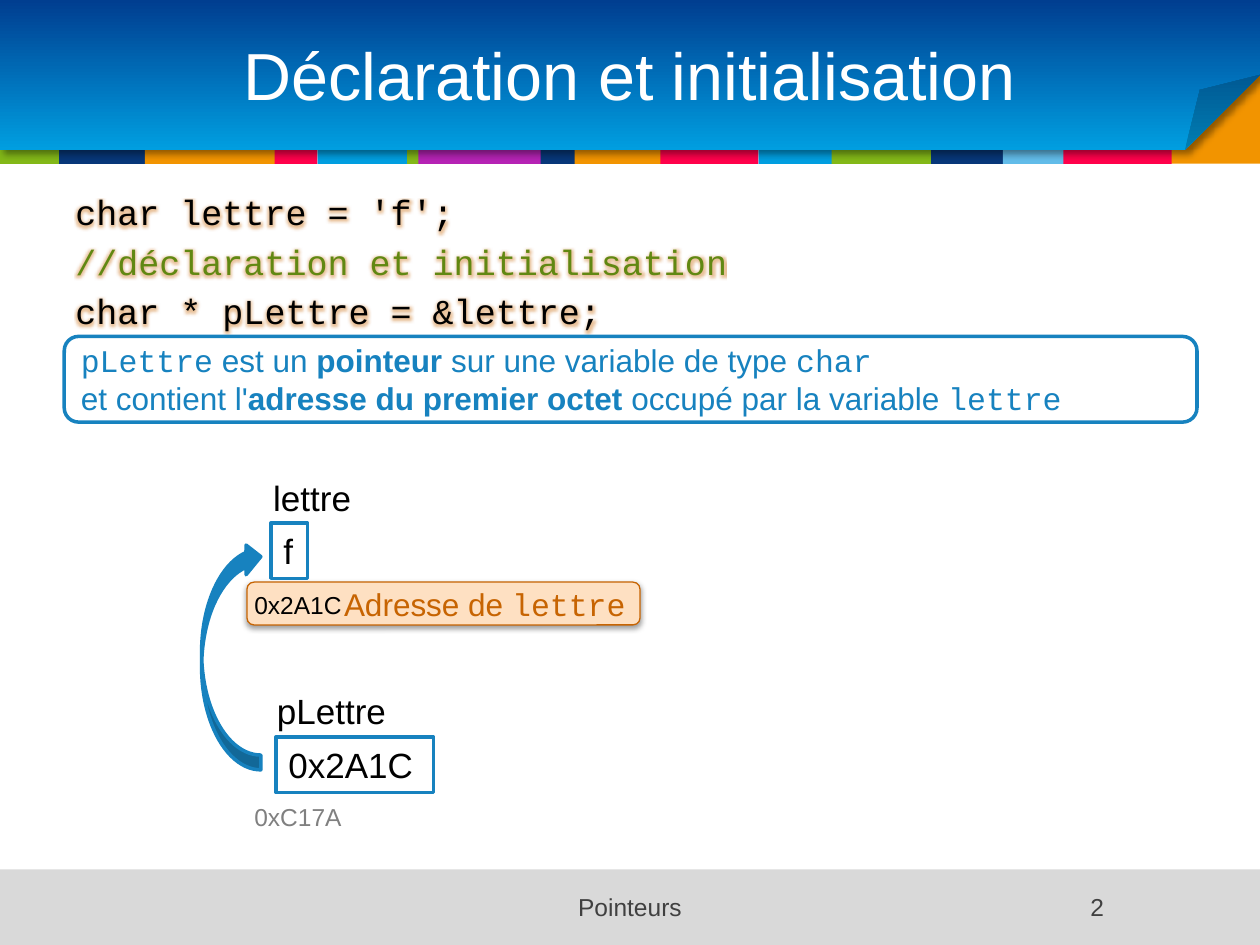
from typing import NamedTuple, Optional

from lxml.etree import SubElement
from pptx import Presentation
from pptx.dml.color import RGBColor
from pptx.enum.shapes import MSO_SHAPE as Shape
from pptx.enum.text import MSO_ANCHOR as Anchor, MSO_AUTO_SIZE as AutoSize, PP_ALIGN as Align
from pptx.oxml.ns import qn
from pptx.util import Emu, Inches, Pt

# Grid of 100 columns by 75 rows over the whole slide
COLUMNS, ROWS = 100, 75
SLIDE_WIDTH, SLIDE_HEIGHT = Inches(10), Inches(7.5)

SANS, MONO = "Arial", "Courier New"
BLACK, WHITE, LIGHT_GREY, MID_GREY, DARK_GREY = map(
    RGBColor.from_string, ("000000", "FFFFFF", "D9D9D9", "808080", "404040"))
GREEN, NAVY, ORANGE, RED, CYAN, SKY, PURPLE = map(
    RGBColor.from_string, ("83B818", "073779", "F29400", "FF014B", "009EE0", "62BCE9", "B523B4"))
DEEP_BLUE, BLUE, RUST, PEACH, OLIVE = map(
    RGBColor.from_string, ("003E90", "1782BF", "C76402", "FEE0C2", "618812"))


class Area(NamedTuple):
    column: float
    row: float
    columns: float
    rows: float

    def lengths(self) -> tuple:
        across, down = SLIDE_WIDTH / COLUMNS, SLIDE_HEIGHT / ROWS
        return (Emu(round(self.column * across)), Emu(round(self.row * down)),
                Emu(round(self.columns * across)), Emu(round(self.rows * down)))


class Stripe(NamedTuple):
    column: float
    columns: float
    color: RGBColor


class Label(NamedTuple):
    text: str
    area: Area
    size: int = 20
    color: RGBColor = BLACK
    framed: bool = False
    align: Optional[Align] = None


class Span(NamedTuple):
    text: str
    font: str = SANS
    bold: Optional[bool] = None


STRIPES = [
    Stripe(29.7, 5.1, GREEN), Stripe(0, 5.1, GREEN), Stripe(4.7, 6.9, NAVY),
    Stripe(11.5, 11, ORANGE), Stripe(21.8, 3.4, RED), Stripe(25.2, 7.1, CYAN),
    Stripe(33.2, 10.1, PURPLE), Stripe(42.9, 2.8, NAVY), Stripe(45.6, 7.1, ORANGE),
    Stripe(52.4, 7.8, RED), Stripe(60.2, 6.1, CYAN), Stripe(66, 9.1, GREEN),
    Stripe(73.9, 5.8, NAVY), Stripe(79.6, 5, SKY), Stripe(84.4, 8.6, RED),
]
CODE = {
    "char lettre = 'f';": BLACK,
    "//déclaration et initialisation": OLIVE,
    "char * pLettre = &lettre;": BLACK,
}
LABELS = [
    Label("0x2A1C", Area(19.2, 46.3, 9, 3.4), 14),
    Label("f", Area(21.5, 41.5, 2.9, 4.4), framed=True),
    Label("lettre", Area(20.7, 37.3, 8.3, 4.4)),
    Label("0x2A1C", Area(21.9, 58.5, 12.5, 4.4), framed=True),
    Label("pLettre", Area(21, 54.2, 10.7, 4.4)),
    Label("0xC17A", Area(19.2, 63.2, 9.5, 3.4), 14, MID_GREY),
    Label("Pointeurs", Area(25.6, 70.3, 48.8, 3.7), 14, DARK_GREY, align=Align.CENTER),
    Label("2", Area(76.8, 70.3, 11.8, 3.7), 14, DARK_GREY, align=Align.RIGHT),
]
EXPLANATION = [
    [Span("pLettre", MONO), Span(" est un "), Span("pointeur", bold=True),
     Span(" sur une variable de type "), Span("char", MONO)],
    [Span("et contient l'"), Span("adresse du premier octet", bold=True),
     Span(" occupé par la variable "), Span("lettre", MONO)],
]


def add_effect(parent, kind: str, color: RGBColor, alpha: int, **settings: int):
    """Append one coloured, translucent effect."""
    effects = parent.find(qn("a:effectLst"))
    if effects is None:
        effects = SubElement(parent, qn("a:effectLst"))
    effect = SubElement(effects, qn(f"a:{kind}"), {k: str(v) for k, v in settings.items()})
    tint = SubElement(effect, qn("a:srgbClr"), val=str(color))
    SubElement(tint, qn("a:alpha"), val=str(alpha * 1000))


def add_shadow(shape, alpha: int, blur: float, distance: float, angle: int):
    add_effect(shape._element.spPr, "outerShdw", BLACK, alpha, blurRad=Pt(blur),
               dist=Pt(distance), dir=angle * 60000, rotWithShape=0)


def add_block(page, kind: Shape, area: Area, fill: RGBColor,
              line: Optional[RGBColor] = None, weight: float = 2):
    block = page.shapes.add_shape(kind, *area.lengths())
    block.shadow.inherit = False
    block.fill.solid()
    block.fill.fore_color.rgb = fill
    if line is None:
        block.line.fill.background()
    else:
        block.line.color.rgb = line
        block.line.width = Pt(weight)
    return block


def style(para, size: int, color: RGBColor, font: Optional[str] = SANS, align: Align = Align.LEFT):
    para.alignment = align
    para.font.size = Pt(size)
    para.font.color.rgb = color
    if font:
        para.font.name = font


def add_label(page, label: Label):
    if label.framed:
        box = add_block(page, Shape.RECTANGLE, label.area, WHITE, BLUE)
    else:
        box = page.shapes.add_textbox(*label.area.lengths())
    frame = box.text_frame
    frame.text = label.text
    frame.word_wrap = label.align is not None
    frame.auto_size = AutoSize.NONE if label.align else AutoSize.SHAPE_TO_FIT_TEXT
    frame.vertical_anchor = Anchor.TOP
    style(frame.paragraphs[0], label.size, label.color, align=label.align or Align.LEFT)


def write_spans(shape, lines: list, color: RGBColor, align: Align = Align.LEFT):
    frame = shape.text_frame
    frame.vertical_anchor = Anchor.MIDDLE
    for index, spans in enumerate(lines):
        para = frame.add_paragraph() if index else frame.paragraphs[0]
        style(para, 18, color, None, align)
        for span in spans:
            run = para.add_run()
            run.text = span.text
            run.font.name, run.font.bold = span.font, span.bold


def add_code(page, area: Area):
    frame = page.shapes.add_textbox(*area.lengths()).text_frame
    frame.word_wrap = True
    frame.text = "\n".join(CODE)
    for para, color in zip(frame.paragraphs, CODE.values()):
        para.space_after = Pt(3)
        para.line_spacing = 1.05
        style(para, 20, color, MONO)
        add_effect(para.runs[0].font._element, "glow", RUST, 40, rad=Pt(5))


def main():
    deck = Presentation()
    deck.slide_width, deck.slide_height = SLIDE_WIDTH, SLIDE_HEIGHT
    page = deck.slides.add_slide(deck.slide_layouts[5])

    # Coloured stripes, folded banner and footer band
    add_block(page, Shape.RECTANGLE, Area(92.1, 4.7, 7.9, 8.3), ORANGE)
    for stripe in STRIPES:
        add_block(page, Shape.RECTANGLE, Area(stripe.column, 8.1, stripe.columns, 4.9), stripe.color)
    banner = add_block(page, Shape.FOLDED_CORNER, Area(0, 0, COLUMNS, 11.9), CYAN)
    fold = banner._element.spPr.prstGeom.get_or_add_avLst()
    SubElement(fold, qn("a:gd"), name="adj", fmla="val 50000")
    banner.fill.gradient()
    banner.fill.gradient_angle = 90
    for stop, color in zip(banner.fill.gradient_stops, (CYAN, DEEP_BLUE)):
        stop.color.rgb = color
    add_shadow(banner, 40, 4, 3, 45)
    add_block(page, Shape.RECTANGLE, Area(0, 69, COLUMNS, 6), LIGHT_GREY)

    # Title, brought in front of the banner
    title = page.shapes.title
    title.left, title.top, title.width, title.height = Area(5, 0.7, 90, 10.3).lengths()
    title.text_frame.text = "Déclaration et initialisation"
    title.text_frame.vertical_anchor = Anchor.MIDDLE
    style(title.text_frame.paragraphs[0], 38, WHITE, align=Align.CENTER)
    page.shapes._spTree.append(title._element)

    # Code and its explanation
    add_code(page, Area(5, 14.5, 90, 12))
    note = add_block(page, Shape.ROUNDED_RECTANGLE, Area(5.1, 26.7, 89.9, 6.8), WHITE, BLUE)
    write_spans(note, EXPLANATION, BLUE)

    # Memory diagram and footer texts
    address = add_block(page, Shape.ROUNDED_RECTANGLE, Area(19.6, 46.2, 31.2, 3.4), PEACH, RUST, 0.75)
    add_shadow(address, 38, 3.1, 1.6, 90)
    write_spans(address, [[Span("Adresse de "), Span("lettre", MONO)]], RUST, Align.RIGHT)
    for label in LABELS:
        add_label(page, label)
    arrow = add_block(page, Shape.CURVED_LEFT_ARROW, Area(16, 43, 4.7, 18.1), BLUE, BLUE)
    arrow.rotation = 180

    deck.save("out.pptx")


if __name__ == "__main__":
    main()
